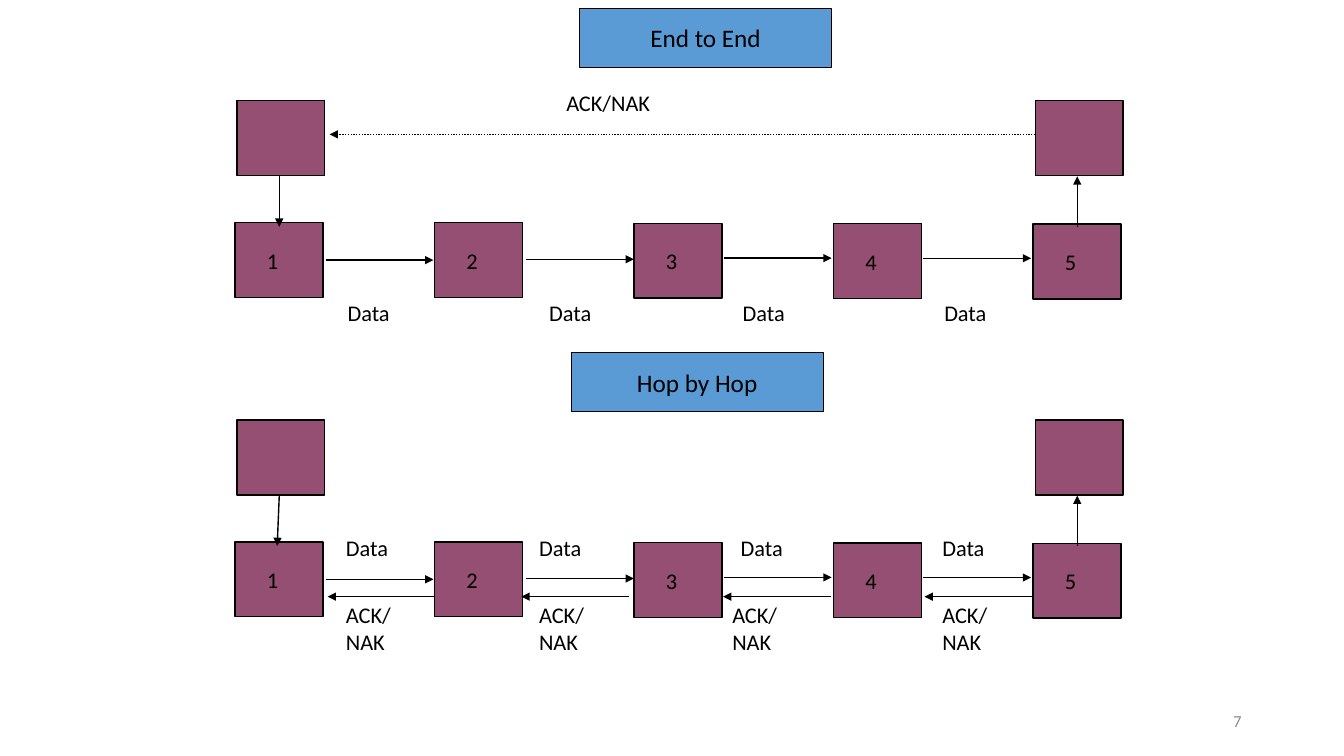
from lxml.etree import SubElement
from pptx import Presentation
from pptx.dml.color import RGBColor
from pptx.enum.dml import MSO_LINE_DASH_STYLE as DASH
from pptx.enum.shapes import MSO_CONNECTOR as CONNECTOR, MSO_SHAPE as SHAPE
from pptx.enum.text import MSO_ANCHOR as ANCHOR, PP_ALIGN as ALIGN
from pptx.oxml.ns import qn
from pptx.util import Pt

BLACK = RGBColor(0x00, 0x00, 0x00)
PLUM = RGBColor(0x95, 0x4F, 0x72)
BLUE = RGBColor(0x5B, 0x9B, 0xD5)
GRAY = RGBColor(0x8C, 0x8C, 0x8C)

FONT = "Calibri"
NODE_WIDTH, NODE_HEIGHT = 62.7, 53.5
FIRST_NODE, NODE_PITCH = 168, 142.5
NODE_TOPS = (159, 159, 159.5, 159.8, 160)
HOST_LEFTS = (169.2, 739.5)
HOST_TOP = 72
HOP_LENGTH = 77
HOP_STARTS = ((232.6, 185.8), (375.8, 185.2), (517, 184.4), (659.5, 184.5))
HOP_BY_HOP_SHIFT = 228


def add_run(paragraph, text, size, color):
    run = paragraph.add_run()
    run.text = text
    run.font.name = FONT
    run.font.size = Pt(size)
    run.font.color.rgb = color


def add_label(slide, text, left, top, width, height=26.6, size=16,
              color=BLACK, align=ALIGN.LEFT, anchor=ANCHOR.TOP):
    box = slide.shapes.add_textbox(Pt(left), Pt(top), Pt(width), Pt(height))
    frame = box.text_frame
    frame.word_wrap = True
    frame.vertical_anchor = anchor
    paragraph = frame.paragraphs[0]
    paragraph.alignment = align
    add_run(paragraph, text, size, color)


def add_box(slide, left, top, width, height, fill, line_width):
    shape = slide.shapes.add_shape(
        SHAPE.RECTANGLE, Pt(left), Pt(top), Pt(width), Pt(height))
    shape.shadow.inherit = False
    shape.fill.solid()
    shape.fill.fore_color.rgb = fill
    shape.line.color.rgb = BLACK
    shape.line.width = Pt(line_width)
    return shape


def add_title(slide, text, left, top):
    shape = add_box(slide, left, top, 180, 42, BLUE, 0.75)
    frame = shape.text_frame
    frame.word_wrap = False
    frame.vertical_anchor = ANCHOR.MIDDLE
    paragraph = frame.paragraphs[0]
    paragraph.alignment = ALIGN.CENTER
    add_run(paragraph, text, 18, BLACK)


def add_arrow(slide, start_x, start_y, end_x, end_y, dash=None):
    arrow = slide.shapes.add_connector(
        CONNECTOR.STRAIGHT, Pt(start_x), Pt(start_y), Pt(end_x), Pt(end_y))
    arrow.line.color.rgb = BLACK
    arrow.line.width = Pt(1)
    if dash is not None:
        arrow.line.dash_style = dash
    SubElement(arrow.line._get_or_add_ln(), qn("a:tailEnd"), type="triangle")
    SubElement(arrow._element.spPr, qn("a:effectLst"))


def add_network(slide, shift, entry_x):
    for index, node_top in enumerate(NODE_TOPS):
        left = FIRST_NODE + index * NODE_PITCH
        top = node_top + shift
        add_box(slide, left, top, NODE_WIDTH, NODE_HEIGHT, PLUM, 1)
        add_label(slide, str(index + 1), left + 15.5, top + 13.8, 49)
    for left in HOST_LEFTS:
        add_box(slide, left, HOST_TOP + shift, NODE_WIDTH, NODE_HEIGHT, PLUM, 1)
    add_arrow(slide, 199.5, 126 + shift, entry_x, 162 + shift)
    add_arrow(slide, 769.5, 162 + shift, 769.5, 126 + shift)
    for left, top in HOP_STARTS:
        add_arrow(slide, left, top + shift, left + HOP_LENGTH, top + shift)


def add_labels(slide, text, lefts, top, width, height=26.6):
    for left in lefts:
        add_label(slide, text, left, top, width, height)


def add_end_to_end(slide):
    add_title(slide, "End to End", 414, 6)
    add_network(slide, 0, 199.5)
    add_labels(slide, "Data", (241.2, 385.2, 523.4, 667.4), 210, 59)
    add_label(slide, "ACK/NAK", 397.4, 60, 107)
    add_arrow(slide, 739.5, 96, 235.5, 96, DASH.ROUND_DOT)


def add_hop_by_hop(slide):
    add_title(slide, "Hop by Hop", 408, 252)
    add_network(slide, HOP_BY_HOP_SHIFT, 198)
    add_labels(slide, "Data", (240, 378, 522, 666), 378, 59)
    add_labels(slide, "ACK/NAK", (240, 378, 516, 666), 426, 58, 46)
    for left in (234, 372.4, 516.4, 660.4):
        add_arrow(slide, left + HOP_LENGTH, 426.2, left, 426.2)


def main():
    presentation = Presentation()
    presentation.slide_width = Pt(960)
    presentation.slide_height = Pt(540)
    slide = presentation.slides.add_slide(presentation.slide_layouts[6])
    add_end_to_end(slide)
    add_hop_by_hop(slide)
    add_label(slide, "7", 678, 500.5, 216, 28.8, 12, GRAY,
              ALIGN.RIGHT, ANCHOR.MIDDLE)
    presentation.save("out.pptx")


if __name__ == "__main__":
    main()
